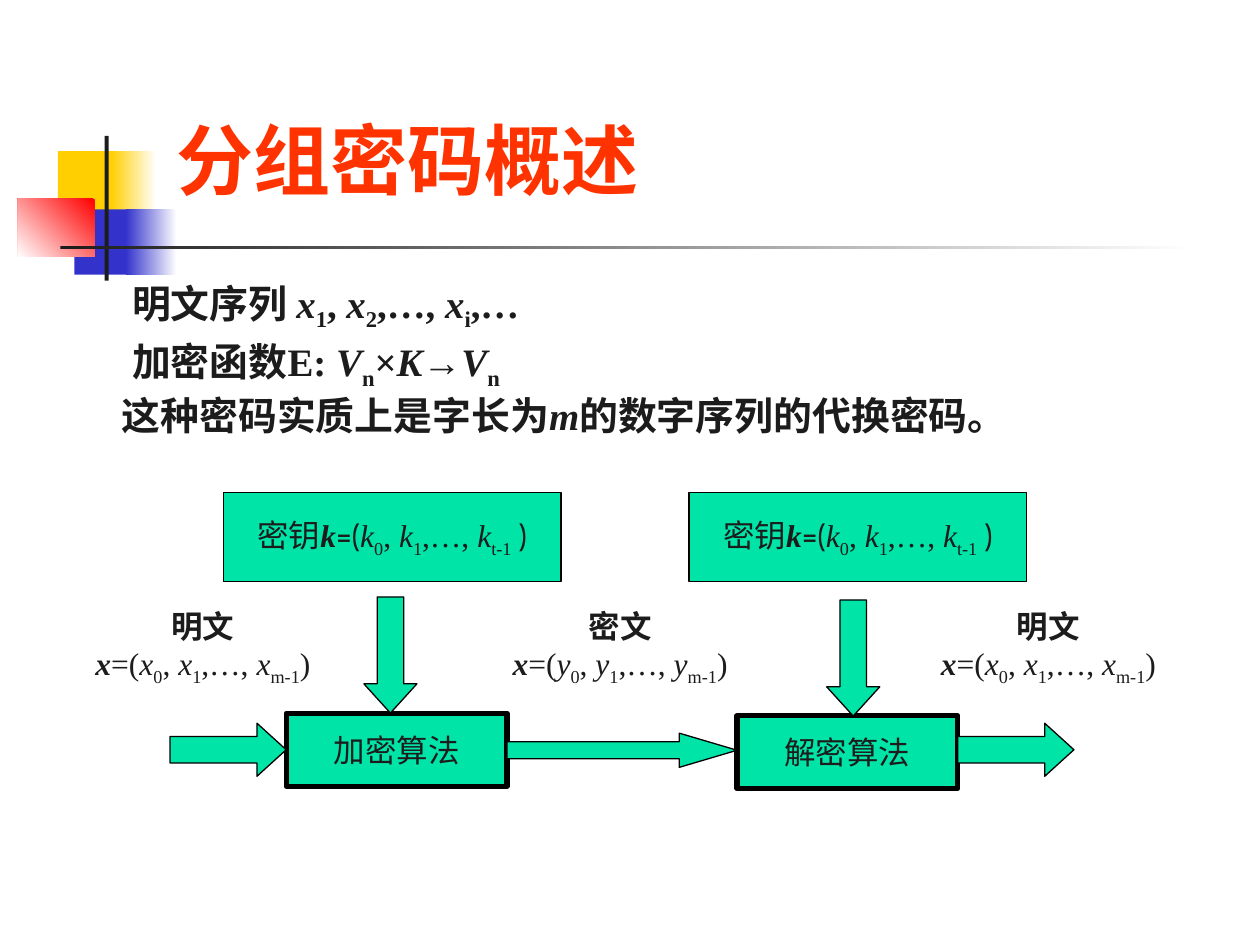
from dataclasses import dataclass
from typing import NamedTuple, Optional

from lxml.etree import SubElement
from pptx import Presentation
from pptx.dml.color import RGBColor as Rgb
from pptx.enum.shapes import MSO_SHAPE as Preset
from pptx.enum.text import MSO_ANCHOR as Anchor, MSO_AUTO_SIZE as AutoSize, PP_ALIGN as Align
from pptx.oxml.ns import qn
from pptx.util import Cm, Pt


@dataclass(frozen=True)
class Theme:
    ink: Rgb = Rgb(0x1C, 0x1C, 0x1C)
    title: Rgb = Rgb(0xFF, 0x33, 0x00)
    node: Rgb = Rgb(0x00, 0xE4, 0xA8)
    outline: Rgb = Rgb(0, 0, 0)
    white: Rgb = Rgb(0xFF, 0xFF, 0xFF)
    yellow: Rgb = Rgb(0xFF, 0xCF, 0x01)
    blue: Rgb = Rgb(0x33, 0x33, 0xCC)
    red: Rgb = Rgb(0xFF, 0, 0)
    serif: str = "Times New Roman"
    sans: str = "Cabin"
    symbol: str = "Arial"
    chinese: str = "Noto Sans CJK SC"
    title_size: float = 44
    body_size: float = 22.2
    label_size: float = 18
    thin: float = 0.75
    thick: float = 3


THEME = Theme()


class Box(NamedTuple):
    left: float
    top: float
    width: float
    height: float

    def lengths(self):
        return [Cm(value) for value in self]


class Piece(NamedTuple):
    text: str
    bold: bool = False
    italic: bool = False
    sub: bool = False
    font: str = THEME.serif


class Ornament(NamedTuple):
    box: Box
    color: Rgb
    fades: bool = False
    angle: float = 0


class Stage(NamedTuple):
    name: str
    node: Box
    key: Box
    key_arrow: Box


class Signal(NamedTuple):
    name: str
    letter: str
    box: Box


def sequence(letter: str, marks: list[str], bold: bool = False) -> list[Piece]:
    """Italic letters with subscripts; an ellipsis precedes the last one."""
    pieces = []
    for index, mark in enumerate(marks):
        if index:
            pieces.append(Piece(",…, " if index == len(marks) - 1 else ", ", bold))
        pieces += [Piece(letter, bold, italic=True), Piece(mark, bold, sub=True)]
    return pieces


def write(paragraph, pieces: list[Piece], size: float, color: Rgb = THEME.ink) -> None:
    for piece in pieces:
        run = paragraph.add_run()
        run.text = piece.text
        font = run.font
        font.size, font.bold, font.italic = Pt(size), piece.bold, piece.italic
        font.color.rgb, font.name = color, piece.font
        properties = run._r.get_or_add_rPr()
        SubElement(properties, qn("a:ea")).set("typeface", THEME.chinese)
        if piece.sub:
            properties.set("baseline", "-25000")


def place(shape, box: Box) -> None:
    shape.left, shape.top, shape.width, shape.height = box.lengths()


def write_centred(shape, lines: list[list[Piece]]) -> None:
    frame = shape.text_frame
    frame.word_wrap, frame.vertical_anchor = False, Anchor.MIDDLE
    for index, pieces in enumerate(lines):
        paragraph = frame.add_paragraph() if index else frame.paragraphs[0]
        paragraph.alignment = Align.CENTER
        write(paragraph, pieces, THEME.label_size)


def draw_ornament(slide, ornament: Ornament) -> None:
    shape = slide.shapes.add_shape(Preset.RECTANGLE, *ornament.box.lengths())
    shape.shadow.inherit = False
    shape.line.fill.background()
    if ornament.fades:
        shape.fill.gradient()
        shape.fill.gradient_angle = ornament.angle
        for stop, color in zip(shape.fill.gradient_stops, (ornament.color, THEME.white)):
            stop.color.rgb = color
    else:
        shape.fill.solid()
        shape.fill.fore_color.rgb = ornament.color


def draw_node(slide, box: Box, pieces: Optional[list[Piece]] = None,
              line: float = THEME.thin, preset=Preset.RECTANGLE):
    shape = slide.shapes.add_shape(preset, *box.lengths())
    shape.shadow.inherit = False
    shape.fill.solid()
    shape.fill.fore_color.rgb = THEME.node
    shape.line.color.rgb, shape.line.width = THEME.outline, Pt(line)
    if pieces:
        write_centred(shape, [pieces])
    return shape


def draw_arrow(slide, box: Box, head: float = 0.55, rotation: float = 0) -> None:
    arrow = draw_node(slide, box, preset=Preset.RIGHT_ARROW)
    arrow.adjustments[0], arrow.adjustments[1] = 0.5, head
    arrow.rotation = rotation


def draw_signal(slide, signal: Signal) -> None:
    formula = [Piece("x", bold=True, italic=True), Piece("=("),
               *sequence(signal.letter, ["0", "1", "m-1"]), Piece(")")]
    label = slide.shapes.add_textbox(*signal.box.lengths())
    write_centred(label, [[Piece(signal.name, bold=True)], formula])


ORNAMENTS = [
    Ornament(Box(1.17, 3.05, 1.22, 1.32), THEME.yellow),
    Ornament(Box(2.24, 3.05, 0.91, 1.32), THEME.yellow, True),
    Ornament(Box(1.5, 4.22, 1.17, 1.32), THEME.blue),
    Ornament(Box(2.54, 4.22, 1.02, 1.32), THEME.blue, True),
    Ornament(Box(0.36, 4.01, 1.55, 1.17), THEME.red, True, 225),
    Ornament(Box(2.11, 2.74, 0.08, 2.92), THEME.ink),
    Ornament(Box(1.22, 4.95, 22.86, 0.08), THEME.ink, True),
]
# Each statement: left margin in cm, then its pieces
STATEMENTS = [
    (0.71, [Piece("明文序列 ", True), *sequence("x", ["1", "2", "i"], True), Piece(",…", True)]),
    (0.71, [Piece("加密函数E: ", True), Piece("V", True, True), Piece("n", True, sub=True),
            Piece("×", True), Piece("K", True, True), Piece("→", True, font=THEME.symbol),
            Piece("V", True, True), Piece("n", True, sub=True)]),
    (0.5, [Piece("这种密码实质上是字长为", True, font=THEME.chinese), Piece("m", True, True),
           Piece("的数字序列的代换密码", True, font=THEME.chinese), Piece("。", True)]),
]
KEY = [Piece("密钥", font=THEME.sans), Piece("k", True, True), Piece("=(", font=THEME.sans),
       *sequence("k", ["0", "1", "t-1"]), Piece(" )", font=THEME.sans)]
ENCRYPT = Stage("加密算法", Box(5.77, 14.38, 4.45, 1.47), Box(4.5, 9.93, 6.81, 1.8),
                Box(6.7, 12.67, 2.34, 1.07))
DECRYPT = Stage("解密算法", Box(14.86, 14.43, 4.45, 1.47), Box(13.89, 9.93, 6.81, 1.8),
                Box(16.03, 12.73, 2.34, 1.07))
SIGNALS = [
    Signal("明文", "x", Box(0.89, 11.94, 6.4, 2.21)),
    Signal("密文", "y", Box(9.3, 11.94, 6.4, 2.21)),
    Signal("明文", "x", Box(18.19, 11.94, 5.89, 2.21)),
]


def main() -> None:
    deck = Presentation()
    deck.slide_width, deck.slide_height = Cm(25.4), Cm(19.05)
    slide = deck.slides.add_slide(deck.slide_layouts[1])
    title, body = slide.placeholders

    # Corner ornament and rule
    for ornament in ORNAMENTS:
        draw_ornament(slide, ornament)

    # Title
    place(title, Box(3.3, 1.07, 22.1, 3.18))
    title.text_frame.vertical_anchor = Anchor.BOTTOM
    heading = title.text_frame.paragraphs[0]
    heading.alignment = Align.LEFT
    write(heading, [Piece("分组密码概述", bold=True)], THEME.title_size, THEME.title)

    # Statements
    place(body, Box(1.7, 5.69, 23.29, 11.43))
    body.text_frame.auto_size = AutoSize.NONE
    for index, (margin, pieces) in enumerate(STATEMENTS):
        statement = body.text_frame.add_paragraph() if index else body.text_frame.paragraphs[0]
        statement.line_spacing = 0.7
        statement.space_before, statement.space_after = Pt(6 if index else 0), Pt(6)
        properties = statement._p.get_or_add_pPr()
        properties.set("marL", str(Cm(margin)))
        properties.set("indent", "0")
        SubElement(properties, qn("a:buNone"))
        write(statement, pieces, THEME.body_size)

    # Cipher stages with their keys
    for stage in (ENCRYPT, DECRYPT):
        draw_node(slide, stage.node, [Piece(stage.name, font=THEME.sans)], THEME.thick)
        draw_node(slide, stage.key, KEY)
        draw_arrow(slide, stage.key_arrow, rotation=90)

    # Data flow: in, between the stages, out
    encrypt_end = ENCRYPT.node.left + ENCRYPT.node.width
    decrypt_end = DECRYPT.node.left + DECRYPT.node.width
    draw_arrow(slide, Box(ENCRYPT.node.left - 2.34, 14.58, 2.34, 1.07))
    draw_arrow(slide, Box(encrypt_end, 14.78, DECRYPT.node.left - encrypt_end, 0.69), head=1.69)
    draw_arrow(slide, Box(decrypt_end, 14.58, 2.34, 1.07))
    for signal in SIGNALS:
        draw_signal(slide, signal)

    deck.save("out.pptx")


if __name__ == "__main__":
    main()
